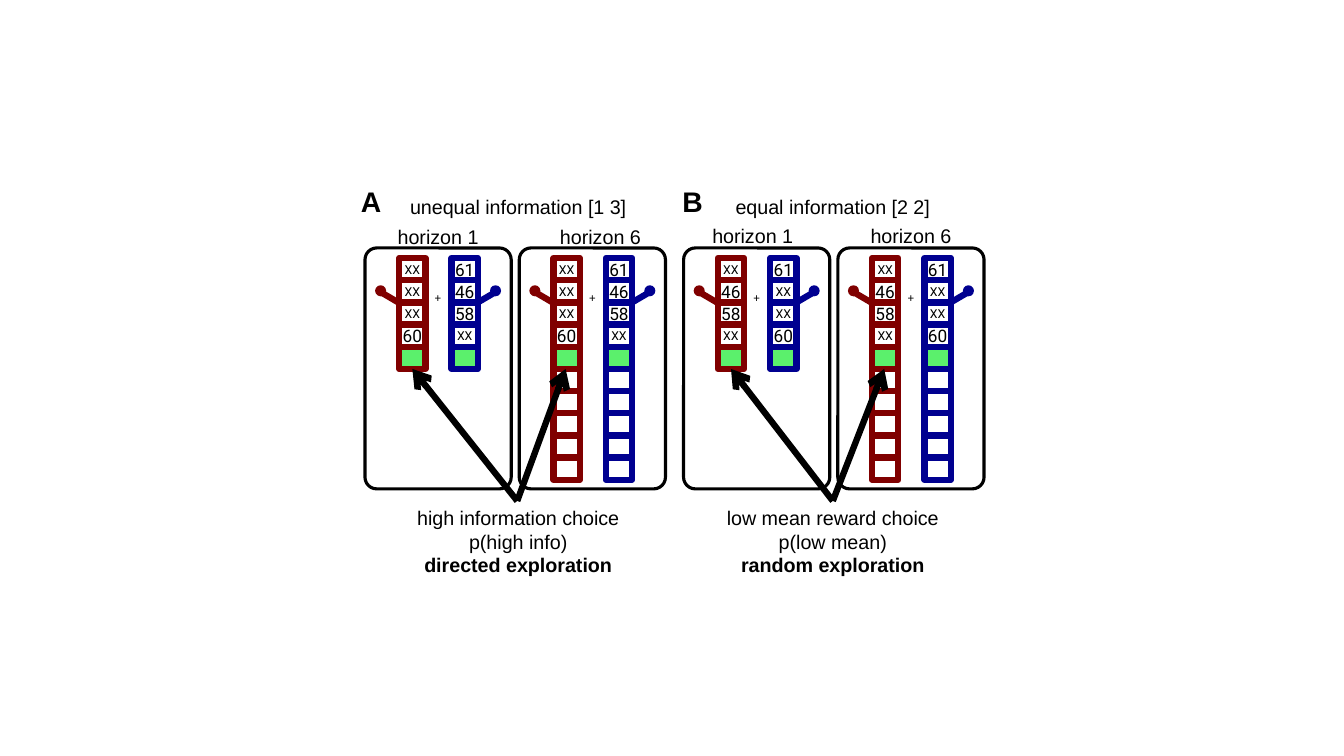
from dataclasses import dataclass

from lxml.etree import SubElement
from pptx import Presentation
from pptx.dml.color import RGBColor
from pptx.enum.shapes import MSO_CONNECTOR, MSO_SHAPE
from pptx.enum.text import MSO_ANCHOR, MSO_AUTO_SIZE, PP_ALIGN
from pptx.oxml.ns import qn
from pptx.util import Pt

EMU_PER_PX = 9144  # 100 px to the inch


@dataclass(frozen=True)
class Theme:
    ink: str = "000000"
    red: str = "800000"
    blue: str = "000090"
    green: str = "5BF06C"
    label_font: str = "Arial"
    cell_font: str = "Roboto"
    cross_font: str = "Calibri"
    label_size: float = 14.1
    letter_size: float = 20.2
    number_size: float = 12.3
    small_size: float = 8.8
    frame_width: float = 2.25
    heavy_width: float = 4.5


THEME = Theme()

# Layout of one panel, with x measured from its left edge
PANEL_TOP, PANEL_WIDTH, PANEL_HEIGHT = 246, 145, 239
CELL_TOP, CELL_WIDTH, CELL_HEIGHT = 256, 26, 22
RED_X, BLUE_X = 34, 86
BALL_TOP, BALL_SIZE = 283, 11
FORCED_TRIALS = 4
HIDDEN = "XX"


def px(value):
    return value * EMU_PER_PX


def add_run(para, text, size, font, bold=False):
    span = para.add_run()
    span.text = text
    span.font.size = Pt(size)
    span.font.name = font
    span.font.bold = bold
    span.font.color.rgb = RGBColor.from_string(THEME.ink)


def add_label(page, left, top, width, height, lines, size=THEME.label_size,
              font=THEME.label_font, align=PP_ALIGN.CENTER, wrap=True):
    """Add a text box; lines holds (text, bold) pairs."""
    box = page.shapes.add_textbox(px(left), px(top), px(width), px(height))
    frame = box.text_frame
    frame.word_wrap = wrap
    frame.auto_size = MSO_AUTO_SIZE.SHAPE_TO_FIT_TEXT
    if not wrap:
        frame.margin_left = frame.margin_right = 0
    for index, (text, bold) in enumerate(lines):
        para = frame.add_paragraph() if index else frame.paragraphs[0]
        para.alignment = align
        add_run(para, text, size, font, bold)


def add_box(page, kind, left, top, width, height, fill=None, line=None,
            line_width=THEME.heavy_width):
    box = page.shapes.add_shape(kind, px(left), px(top), px(width), px(height))
    box.shadow.inherit = False
    if fill:
        box.fill.solid()
        box.fill.fore_color.rgb = RGBColor.from_string(fill)
    else:
        box.fill.background()
    if line:
        box.line.color.rgb = RGBColor.from_string(line)
        box.line.width = Pt(line_width)
    else:
        box.line.fill.background()
    return box


def add_line(page, start, end, color, arrow=False):
    line = page.shapes.add_connector(
        MSO_CONNECTOR.STRAIGHT, *(px(value) for value in (*start, *end)))
    line.line.color.rgb = RGBColor.from_string(color)
    line.line.width = Pt(THEME.heavy_width)
    if arrow:
        SubElement(line.line._get_or_add_ln(), qn("a:tailEnd"), type="arrow")
    SubElement(line._element.spPr, qn("a:effectLst"))


def add_bandit(page, left, color, rewards, horizon):
    """Stack the played trials, the green choice and the trials left."""
    for row in range(FORCED_TRIALS + horizon):
        fill = THEME.green if row == FORCED_TRIALS else None
        cell = add_box(page, MSO_SHAPE.RECTANGLE, left,
                       CELL_TOP + row * CELL_HEIGHT, CELL_WIDTH, CELL_HEIGHT,
                       fill, color)
        if row < FORCED_TRIALS:
            reward = rewards[row]
            frame = cell.text_frame
            frame.word_wrap = False
            frame.vertical_anchor = MSO_ANCHOR.MIDDLE
            para = frame.paragraphs[0]
            para.alignment = PP_ALIGN.CENTER
            size = THEME.small_size if reward == HIDDEN else THEME.number_size
            add_run(para, reward, size, THEME.cell_font)


def add_panel(page, left, red_rewards, blue_rewards, horizon):
    add_label(page, left + 64, BALL_TOP, 17, 25, [("+", False)],
              THEME.small_size, THEME.cross_font, wrap=False)
    frame = add_box(page, MSO_SHAPE.ROUNDED_RECTANGLE, left, PANEL_TOP,
                    PANEL_WIDTH, PANEL_HEIGHT, line=THEME.ink,
                    line_width=THEME.frame_width)
    frame.adjustments[0] = 0.08

    # Levers on the outer sides
    for hinge, tip, ball, color in ((33, 16, 10, THEME.red),
                                    (112, 129, 124, THEME.blue)):
        add_line(page, (left + hinge, 300), (left + tip, 290), color)
        add_box(page, MSO_SHAPE.OVAL, left + ball, BALL_TOP,
                BALL_SIZE, BALL_SIZE, fill=color)

    add_bandit(page, left + RED_X, THEME.red, red_rewards, horizon)
    add_bandit(page, left + BLUE_X, THEME.blue, blue_rewards, horizon)


def add_condition(page, letter, letter_left, title, text_left, panels,
                  red_rewards, blue_rewards, caption, arrow_start, arrow_tips):
    """Add one half; panels holds (panel left, label left, label top, horizon)."""
    for left, label_left, label_top, horizon in panels:
        add_panel(page, left, red_rewards, blue_rewards, horizon)
        add_label(page, label_left, label_top, PANEL_WIDTH, 34,
                  [(f"horizon {horizon}", False)])

    # Heading and caption
    add_label(page, text_left, 188, 304, 34, [(title, False)])
    add_label(page, text_left, 497, 304, 81, caption)
    add_label(page, letter_left, 178, 61, 44, [(letter, True)],
              THEME.letter_size, align=PP_ALIGN.LEFT)

    # Arrows to the free choice
    for tip in arrow_tips:
        add_line(page, (arrow_start, 497), (tip, 366), THEME.ink, arrow=True)


def main():
    deck = Presentation()
    deck.slide_width, deck.slide_height = px(1333), px(750)
    page = deck.slides.add_slide(deck.slide_layouts[6])

    add_condition(
        page, "A", 348, "unequal information [1 3]", 362,
        [(362, 362, 218, 1), (515, 523, 218, 6)],
        [HIDDEN, HIDDEN, HIDDEN, "60"], ["61", "46", "58", HIDDEN],
        [("high information choice", False), ("p(high info)", False),
         ("directed exploration", True)],
        513, (409, 561))
    add_condition(
        page, "B", 667, "equal information [2 2]", 674,
        [(678, 674, 217, 1), (831, 831, 217, 6)],
        [HIDDEN, "46", "58", HIDDEN], ["61", HIDDEN, HIDDEN, "60"],
        [("low mean reward choice", False), ("p(low mean)", False),
         ("random exploration", True)],
        826, (725, 877))

    deck.save("out.pptx")


if __name__ == "__main__":
    main()
